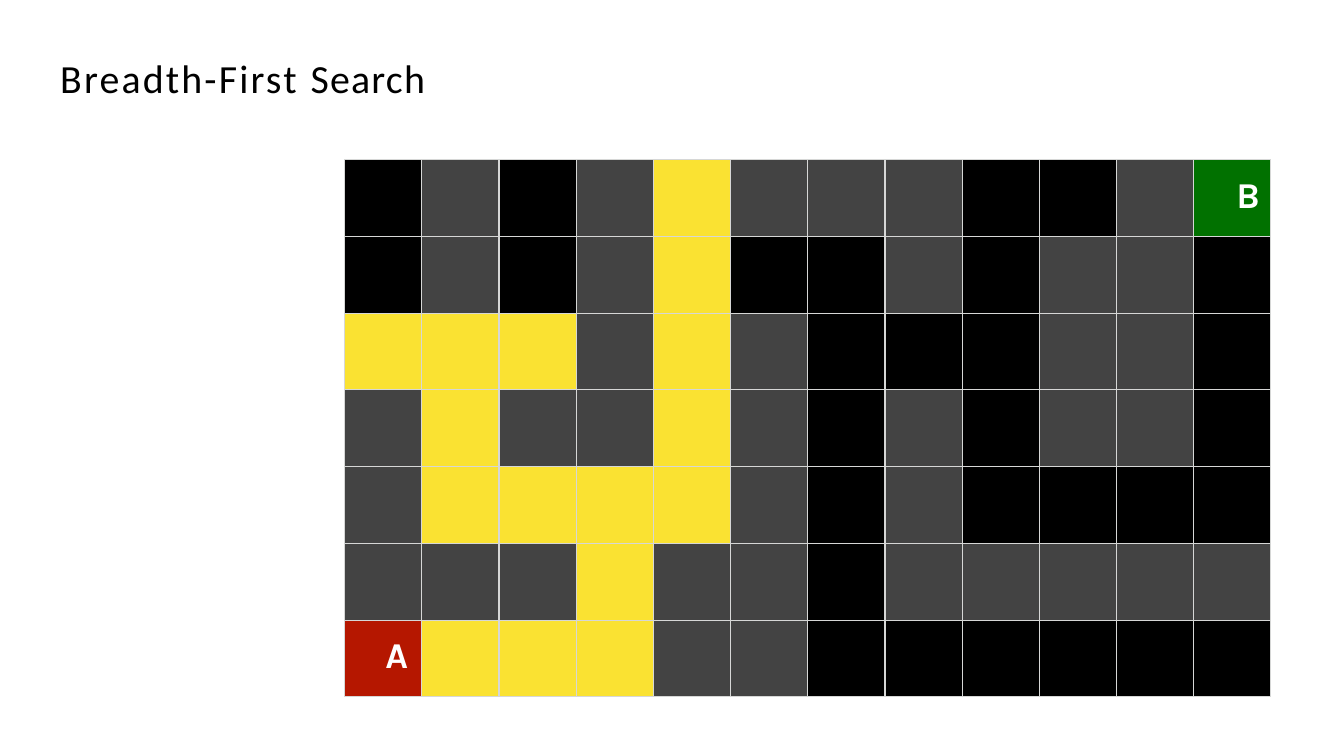
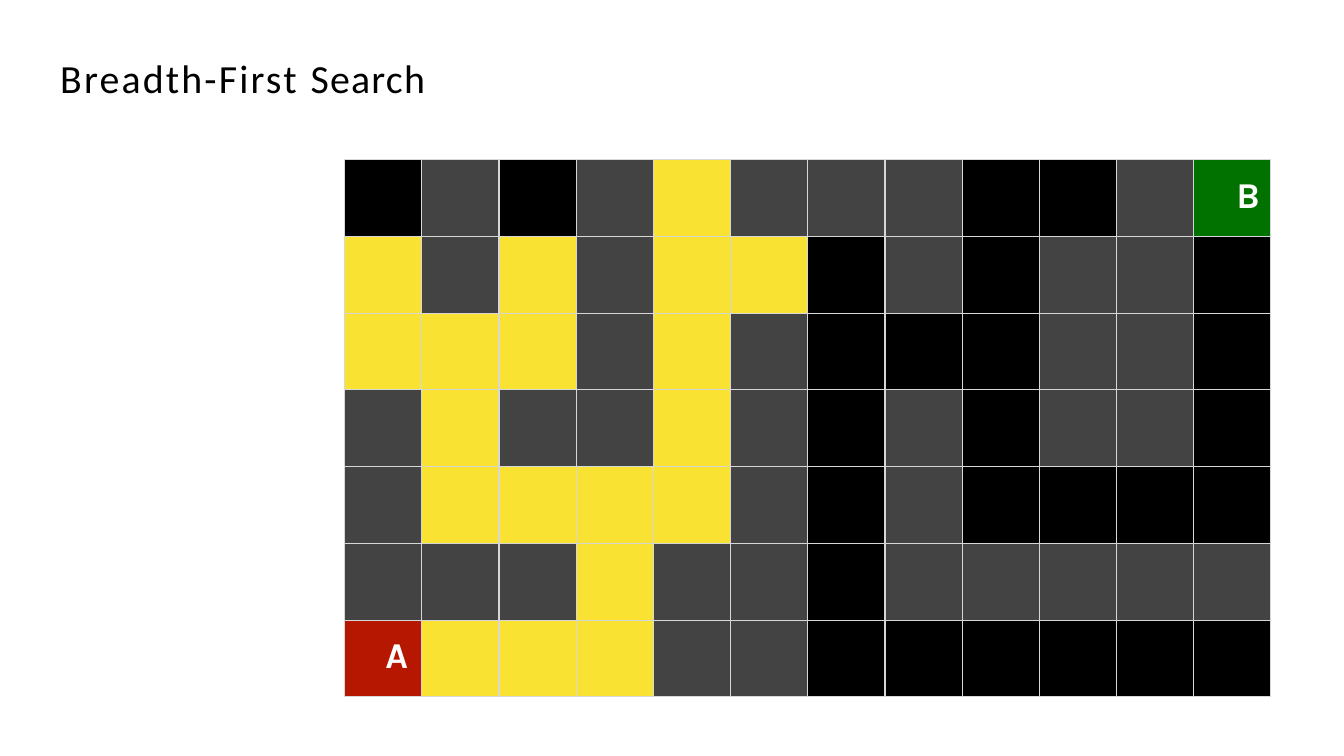
from lxml.etree import SubElement
from pptx import Presentation
from pptx.dml.color import RGBColor as Rgb
from pptx.enum.text import MSO_ANCHOR as Anchor
from pptx.oxml.ns import qn
from pptx.util import Pt

COLORS = {
    "open": "000000",
    "wall": "434343",
    "explored": "FAE232",
    "start": "B51700",
    "goal": "017100",
    "border": "D6D7D6",
    "title": "000000",
    "label": "FFFFFF",
}

# "*" is explored on both slides, "+" only from the second slide on
MAZE = [
    ".#.#*###..#B",
    "+#+#*+.#.##.",
    "***#*#...##.",
    "#*##*#.#.##.",
    "#****#.#....",
    "###*##.#####",
    "A***##......",
]
KINDS = {".": "open", "#": "wall", "*": "explored", "A": "start", "B": "goal"}
STEPS = [{"+": "open"}, {"+": "explored"}]

MAZE_LEFT, MAZE_TOP = 246.2, 114
CELL_WIDTH, CELL_HEIGHT = 55.15, 54.85
TITLE_RUNS = [("Breadth-First ", 160), ("Search", 90)]


def add_run(paragraph, text, font_name, size, color):
    run = paragraph.add_run()
    run.text = text
    run.font.name = font_name
    run.font.size = Pt(size)
    run.font.color.rgb = Rgb.from_string(COLORS[color])
    return run


def add_borders(cell):
    properties = cell._tc.get_or_add_tcPr()
    for side in ("lnL", "lnR", "lnT", "lnB"):
        line = SubElement(properties, qn(f"a:{side}"), w=str(Pt(1)))
        fill = SubElement(line, qn("a:solidFill"))
        SubElement(fill, qn("a:srgbClr"), val=COLORS["border"])


presentation = Presentation()
presentation.slide_width = Pt(960)
presentation.slide_height = Pt(540)

for step in STEPS:
    slide = presentation.slides.add_slide(presentation.slide_layouts[6])
    kinds = KINDS | step

    # Maze
    rows, columns = len(MAZE), len(MAZE[0])
    frame = slide.shapes.add_table(
        rows, columns, Pt(MAZE_LEFT), Pt(MAZE_TOP),
        Pt(columns * CELL_WIDTH), Pt(rows * CELL_HEIGHT))
    table = frame.table
    table.first_row = table.horz_banding = False
    for column in table.columns:
        column.width = Pt(CELL_WIDTH)
    for row in table.rows:
        row.height = Pt(CELL_HEIGHT)

    for row_index, marks in enumerate(MAZE):
        for column_index, mark in enumerate(marks):
            cell = table.cell(row_index, column_index)
            add_borders(cell)
            cell.fill.solid()
            cell.fill.fore_color.rgb = Rgb.from_string(COLORS[kinds[mark]])
            if mark in "AB":
                cell.margin_left = Pt(29 if mark == "A" else 30.5)
                cell.margin_top = Pt(11)
                cell.margin_right = cell.margin_bottom = 0
                paragraph = cell.text_frame.paragraphs[0]
                add_run(paragraph, mark, "Karla", 26, "label").font.bold = True

    # Title
    title = slide.shapes.add_textbox(Pt(42), Pt(37.5), Pt(292), Pt(35))
    text_frame = title.text_frame
    text_frame.word_wrap = True
    text_frame.vertical_anchor = Anchor.MIDDLE
    text_frame.margin_left = Pt(1)
    text_frame.margin_top = Pt(1)
    text_frame.margin_right = text_frame.margin_bottom = 0
    for text, spacing in TITLE_RUNS:
        run = add_run(text_frame.paragraphs[0], text, "Calibri", 28.5, "title")
        run.font._element.set("spc", str(spacing))

presentation.save("out.pptx")
